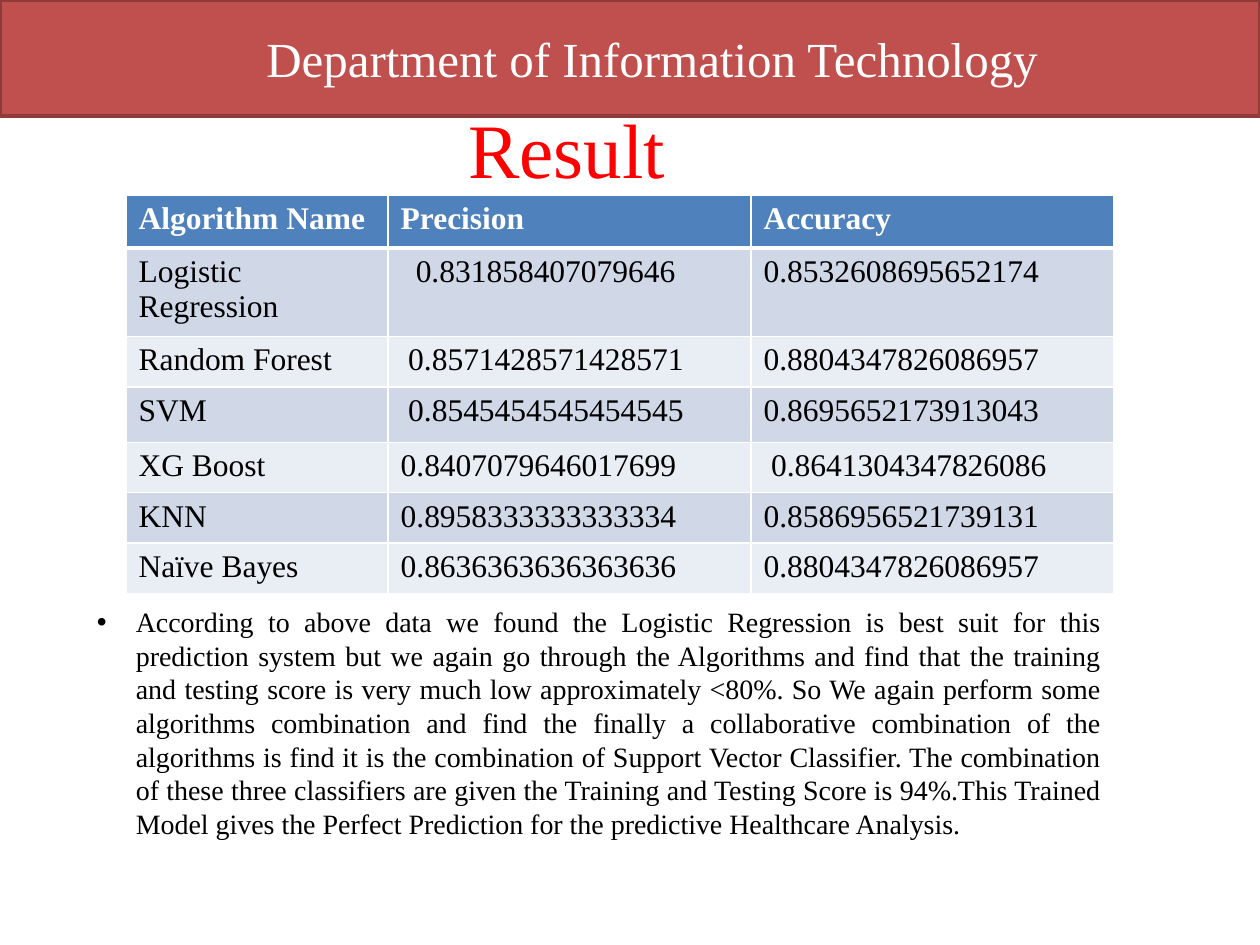
from lxml import etree
from pptx import Presentation, util as u
from pptx.dml.color import RGBColor
from pptx.enum import shapes, text
from pptx.oxml.ns import qn

FONT = "Times New Roman"
WHITE = RGBColor(0xFF, 0xFF, 0xFF)
BLACK = RGBColor(0, 0, 0)
RED = RGBColor(0xFF, 0, 0)
BANNER_FILL = RGBColor(0xC0, 0x50, 0x4D)
BANNER_LINE = RGBColor(0x8E, 0x3B, 0x39)
HEAD_FILL = RGBColor(0x4F, 0x81, 0xBD)
BAND_FILLS = (RGBColor(0xE9, 0xED, 0xF4), RGBColor(0xD0, 0xD8, 0xE8))

# Content
DEPARTMENT = "Department of Information Technology"
TITLE = "Result"
RESULTS = [
    ("Algorithm Name", "Precision", "Accuracy"),
    ("Logistic Regression", "0.831858407079646", "0.8532608695652174"),
    ("Random Forest", "0.8571428571428571", "0.8804347826086957"),
    ("SVM", "0.8545454545454545", "0.8695652173913043"),
    ("XG Boost", "0.8407079646017699", "0.8641304347826086"),
    ("KNN", "0.8958333333333334", "0.8586956521739131"),
    ("Naïve Bayes", "0.8636363636363636", "0.8804347826086957"),
]
COLUMN_WIDTHS = (2.08, 2.88, 2.88)
ROW_HEIGHTS = (0.42, 0.59, 0.34, 0.44, 0.34, 0.34, 0.34)
CELL_INDENTS = {(1, 1): 0.12, (2, 1): 0.06, (3, 1): 0.06, (4, 2): 0.06}
CONCLUSION = (
    "According to above data we found the Logistic Regression is best suit for "
    "this prediction system but we again go through the Algorithms and find that "
    "the training and testing score is very much low approximately <80%. So We "
    "again perform some algorithms combination and find the finally a "
    "collaborative combination of the algorithms is find it is the combination "
    "of Support Vector Classifier. The combination of these three classifiers "
    "are given the Training and Testing Score is 94%.This Trained Model gives "
    "the Perfect Prediction for the predictive Healthcare Analysis."
)


def write(frame, words, size, color, align=text.PP_ALIGN.LEFT, bold=False):
    frame.word_wrap = True
    para = frame.paragraphs[0]
    para.alignment = align
    span = para.add_run()
    span.text = words
    span.font.name = FONT
    span.font.size = u.Pt(size)
    span.font.bold = bold
    span.font.color.rgb = color
    return para


def set_borders(cell, bottom):
    properties = cell._tc.get_or_add_tcPr()
    for side, width in (("L", 1), ("R", 1), ("T", 1), ("B", bottom)):
        line = etree.SubElement(properties, qn(f"a:ln{side}"), w=str(u.Pt(width)))
        fill = etree.SubElement(line, qn("a:solidFill"))
        etree.SubElement(fill, qn("a:srgbClr"), val=str(WHITE))


deck = Presentation()
deck.slide_width, deck.slide_height = u.Inches(10), u.Inches(7.5)
page = deck.slides.add_slide(deck.slide_layouts[6])

# Title
title = page.shapes.add_textbox(u.Inches(0), u.Inches(0.55), u.Inches(9), u.Inches(1.25))
title.text_frame.vertical_anchor = text.MSO_ANCHOR.MIDDLE
write(title.text_frame, TITLE, 44, RED, text.PP_ALIGN.CENTER)

# Results table
table = page.shapes.add_table(
    len(RESULTS), len(COLUMN_WIDTHS), u.Inches(1), u.Inches(1.55),
    u.Inches(sum(COLUMN_WIDTHS)), u.Inches(sum(ROW_HEIGHTS))).table
for column, width in zip(table.columns, COLUMN_WIDTHS):
    column.width = u.Inches(width)
for r, (values, height) in enumerate(zip(RESULTS, ROW_HEIGHTS)):
    table.rows[r].height = u.Inches(height)
    head = r == 0
    for c, value in enumerate(values):
        cell = table.cell(r, c)
        set_borders(cell, 3 if head else 1)
        cell.fill.solid()
        cell.fill.fore_color.rgb = HEAD_FILL if head else BAND_FILLS[r % 2]
        cell.margin_left = u.Inches(0.1 + CELL_INDENTS.get((r, c), 0))
        write(cell.text_frame, value, 18, WHITE if head else BLACK, bold=head)

# Department banner, its text set slightly right of centre
banner = page.shapes.add_shape(
    shapes.MSO_SHAPE.RECTANGLE, u.Inches(0), u.Inches(0), u.Inches(10), u.Inches(0.92))
banner.shadow.inherit = False
banner.fill.solid()
banner.fill.fore_color.rgb = BANNER_FILL
banner.line.color.rgb = BANNER_LINE
banner.line.width = u.Pt(2)
banner.text_frame.margin_left = u.Inches(0.45)
banner.text_frame.vertical_anchor = text.MSO_ANCHOR.MIDDLE
write(banner.text_frame, DEPARTMENT, 28, WHITE, text.PP_ALIGN.CENTER)

# Conclusion bullet
conclusion = page.shapes.add_textbox(
    u.Inches(0.67), u.Inches(4.75), u.Inches(8.17), u.Inches(1.99))
para = write(conclusion.text_frame, CONCLUSION, 16, BLACK, text.PP_ALIGN.JUSTIFY)
properties = para._p.get_or_add_pPr()
properties.set("marL", str(u.Inches(0.31)))
properties.set("indent", str(u.Inches(-0.31)))
etree.SubElement(properties, qn("a:buFont"), typeface="Arial")
etree.SubElement(properties, qn("a:buChar"), char="•")

deck.save("out.pptx")
